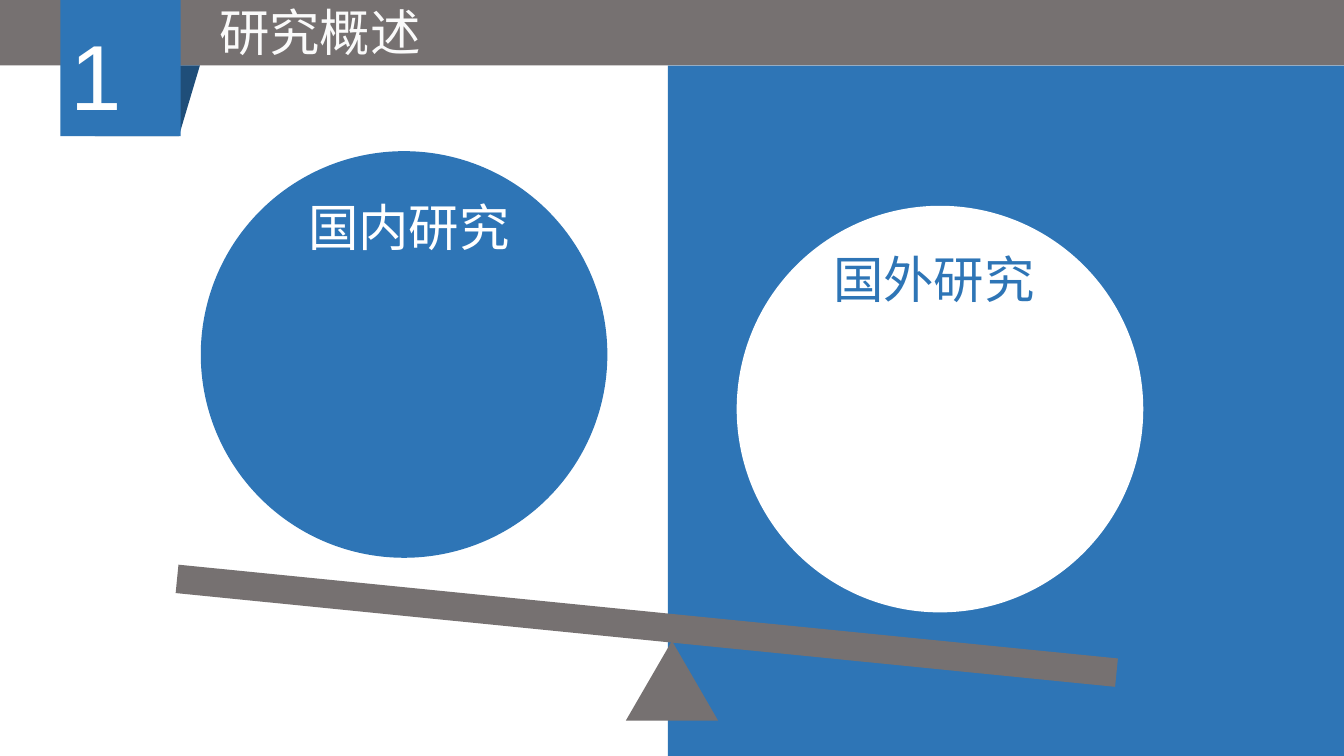
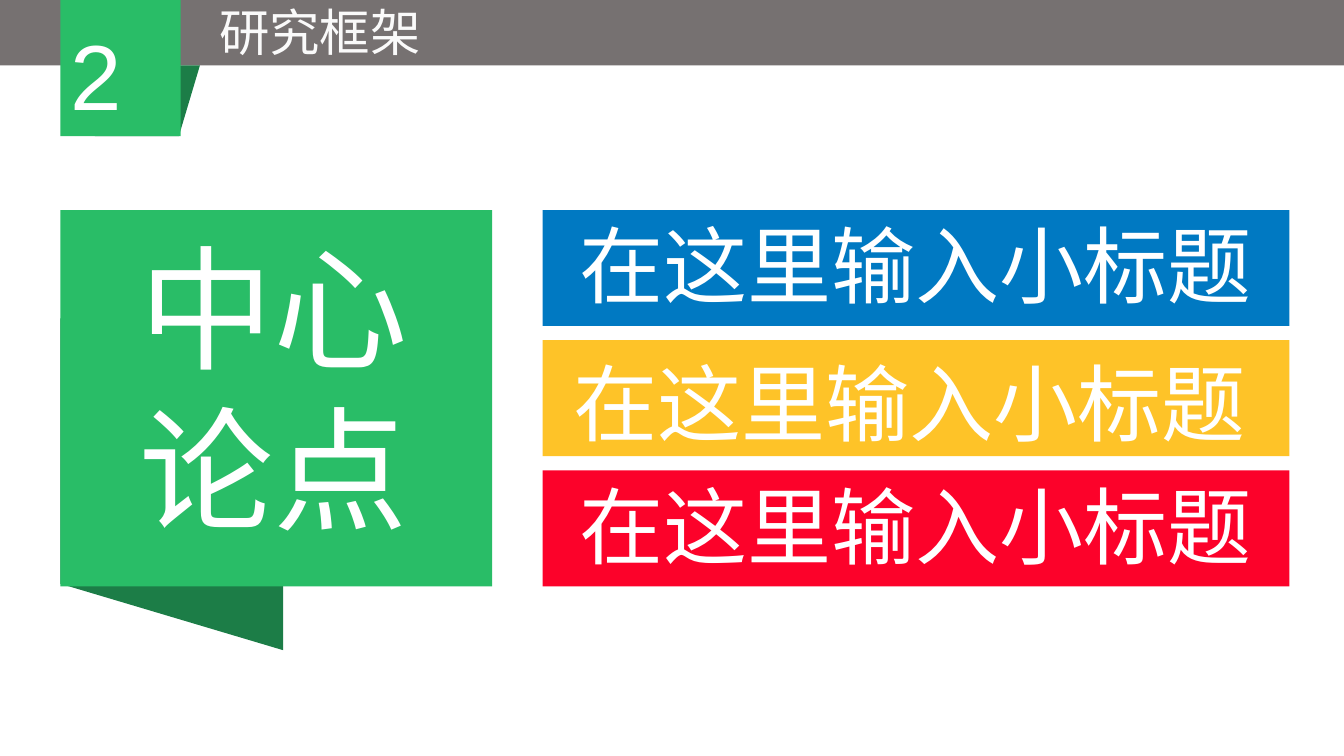
"""Build two slides: a research overview balance and a research framework."""
from dataclasses import dataclass

from pptx import Presentation
from pptx.dml.color import RGBColor
from pptx.enum.shapes import MSO_SHAPE
from pptx.enum.text import MSO_ANCHOR, PP_ALIGN
from pptx.util import Emu, Inches, Pt

RECT = MSO_SHAPE.RECTANGLE
CIRCLE = MSO_SHAPE.FLOWCHART_CONNECTOR
FOLD = MSO_SHAPE.FLOWCHART_DATA
TRIANGLE = MSO_SHAPE.ISOSCELES_TRIANGLE
LEFT, CENTER = PP_ALIGN.LEFT, PP_ALIGN.CENTER
MIDDLE = MSO_ANCHOR.MIDDLE

COLORS = {
    "white": "FFFFFF",
    "title": "FAFAFA",
    "gray": "767171",
    "blue": "2E75B6",
    "navy": "1F4E79",
    "green": "29BD67",
    "forest": "1C7D47",
    "sky": "0079C2",
    "amber": "FEC328",
    "red": "FC022A",
}
FONT = "Arial"
COLS, ROWS = 160, 90
WIDTH, HEIGHT = Inches(13.333), Inches(7.5)
CELL = HEIGHT / ROWS
BAND_H = 7.8
BADGE_LEFT = 7.2
BALL_SIZE = 48.4
BODY_TOP, BAR_H, BAR_PITCH = 25, 13.8, 15.5


@dataclass(frozen=True)
class Box:
    left: float
    top: float
    width: float
    height: float


@dataclass(frozen=True)
class Section:
    number: str
    title: str
    color: str
    fold: str


@dataclass(frozen=True)
class Ball:
    left: float
    top: float
    fill: str
    label: str
    label_box: Box
    label_color: str


@dataclass(frozen=True)
class Bar:
    fill: str
    text_left: float
    text_top: float


OVERVIEW = Section("1", "研究概述", "blue", "navy")
FRAMEWORK = Section("2", "研究框架", "green", "forest")
BALLS = (
    Ball(23.9, 18, "blue", "国内研究", Box(35.5, 22.8, 39, 8.5), "white"),
    Ball(87.7, 24.5, "white", "国外研究", Box(98, 29, 39, 8.5), "blue"),
)
BARS = (
    Bar("sky", 67.8, 24.8),
    Bar("amber", 67.1, 41.3),
    Bar("red", 67.8, 55.9),
)


def cells(n: float) -> Emu:
    """Turn grid cells into a length."""
    return Emu(round(n * CELL))


def place(box: Box) -> tuple:
    """Return left, top, width and height as lengths."""
    return cells(box.left), cells(box.top), cells(box.width), cells(box.height)


def write(tf, lines: tuple, size: float, color: str, align) -> None:
    """Fill a text frame with one paragraph per line."""
    tf.word_wrap = True
    for i, line in enumerate(lines):
        p = tf.paragraphs[0] if i == 0 else tf.add_paragraph()
        p.text = line
        p.alignment = align
        p.font.name = FONT
        p.font.size = Pt(size)
        p.font.color.rgb = RGBColor.from_string(COLORS[color])


def add_block(s, kind, box: Box, fill: str, rotation: float = 0):
    """Draw a filled shape without line or shadow."""
    sp = s.shapes.add_shape(kind, *place(box))
    sp.shadow.inherit = False
    sp.fill.solid()
    sp.fill.fore_color.rgb = RGBColor.from_string(COLORS[fill])
    sp.line.fill.background()
    sp.rotation = rotation
    return sp


def add_text(s, box: Box, lines: tuple, size: float, color: str, align=LEFT) -> None:
    """Add a text box."""
    write(s.shapes.add_textbox(*place(box)).text_frame, lines, size, color, align)


def add_section_slide(prs, section: Section):
    """Add a blank slide with the band, numbered badge and title."""
    s = prs.slides.add_slide(prs.slide_layouts[6])
    add_block(s, RECT, Box(0, 0, COLS, BAND_H), "gray")
    add_block(s, FOLD, Box(11.3, BAND_H, 12.5, 8.4), section.fold)
    badge = add_block(s, RECT, Box(BADGE_LEFT, 0, 14.3, 16.2), section.color)
    tf = badge.text_frame
    tf.vertical_anchor = MIDDLE
    tf.margin_top, tf.margin_bottom = cells(1.2), 0
    write(tf, (section.number,), 66, "white", LEFT)
    add_text(s, Box(17.6, -0.5, 41, 8.5), (section.title,), 36, "title", CENTER)
    return s


def build_overview(prs) -> None:
    """Draw the two fields of research on a tilted balance."""
    s = add_section_slide(prs, OVERVIEW)
    add_block(s, RECT, Box(79.5, BAND_H, COLS - 79.5, ROWS - BAND_H), "blue")
    add_block(s, RECT, Box(20.8, 72.8, 112.4, 3.4), "gray", 5.7)
    for ball in BALLS:
        add_block(s, CIRCLE, Box(ball.left, ball.top, BALL_SIZE, BALL_SIZE), ball.fill)
        add_text(s, ball.label_box, (ball.label,), 36, ball.label_color)
    add_block(s, TRIANGLE, Box(74.5, 76.3, 11, 9.5), "gray")


def build_framework(prs) -> None:
    """Draw the central argument beside its three subtitles."""
    s = add_section_slide(prs, FRAMEWORK)
    add_block(s, FOLD, Box(0.7, 44.4, 39.5, 26.5), "forest", 270)
    add_block(s, RECT, Box(BADGE_LEFT, BODY_TOP, 51.4, 2 * BAR_PITCH + BAR_H), "green")
    add_text(s, Box(-2.6, 26.2, 70.4, 40), ("中心", "论点"), 96, "white", CENTER)
    for i, bar in enumerate(BARS):
        add_block(s, RECT, Box(64.6, BODY_TOP + i * BAR_PITCH, 88.9, BAR_H), bar.fill)
        add_text(s, Box(bar.text_left, bar.text_top, 86, 13.3),
                 ("在这里输入小标题",), 60, "white")


def main() -> None:
    """Build and save the presentation."""
    prs = Presentation()
    prs.slide_width, prs.slide_height = WIDTH, HEIGHT
    build_overview(prs)
    build_framework(prs)
    prs.save("out.pptx")


if __name__ == "__main__":
    main()
